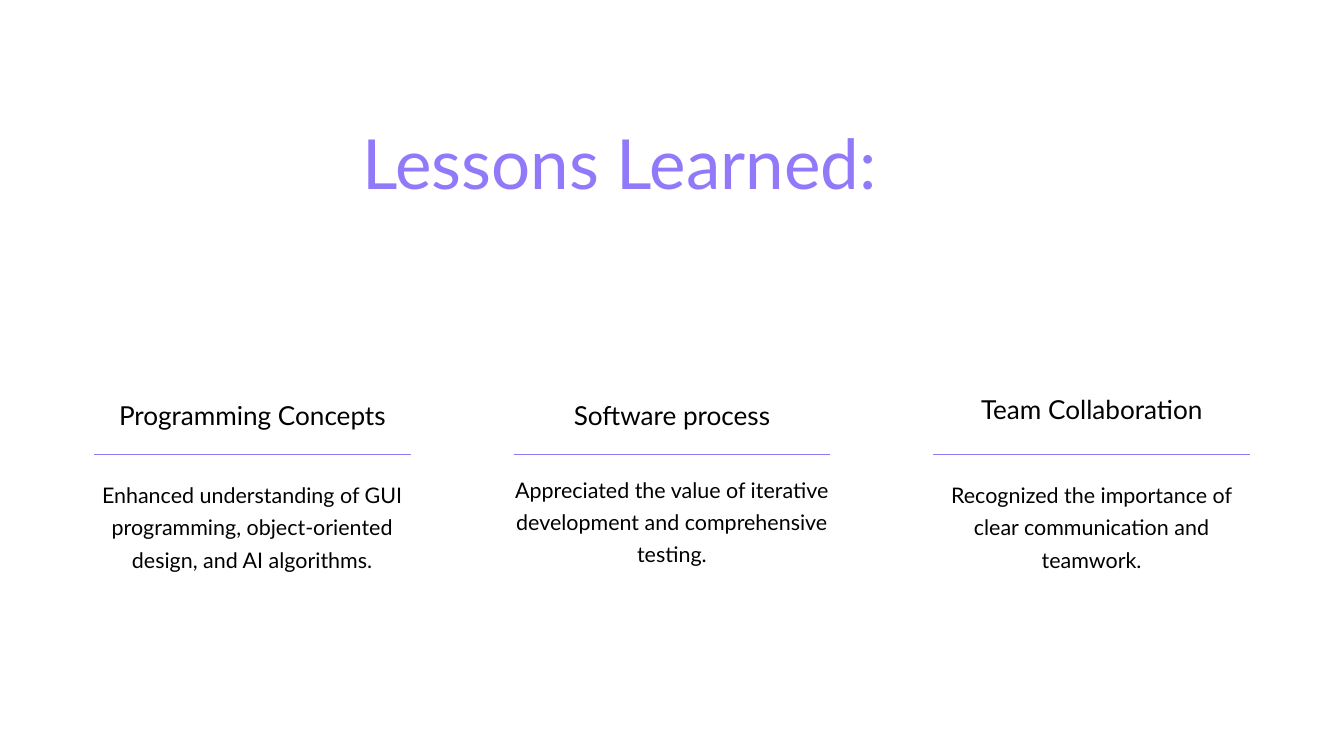
"""Build the Lessons Learned slide with its three columns."""
from lxml.etree import SubElement
from pptx import Presentation
from pptx.dml.color import RGBColor as Color
from pptx.enum.shapes import MSO_CONNECTOR as Link
from pptx.enum.text import MSO_AUTO_SIZE as Fit, PP_ALIGN as Align
from pptx.oxml.ns import qn
from pptx.util import Inches, Pt

HUES = {"violet": "9179FA", "black": "000000"}
LEFT, WIDTH, SPAN = 1.4, 4.71, 12.49

deck = Presentation()
deck.slide_width, deck.slide_height = Inches(20), Inches(11.25)
slide = deck.slides.add_slide(deck.slide_layouts[6])


def write(text, left, top, width, height, size, lead, hue="black"):
    box = slide.shapes.add_textbox(
        Inches(left), Inches(top), Inches(width), Inches(height))
    frame = box.text_frame
    frame.word_wrap = True
    frame.auto_size = Fit.SHAPE_TO_FIT_TEXT
    frame.margin_left = frame.margin_right = 0
    frame.margin_top = frame.margin_bottom = 0
    para = frame.paragraphs[0]
    para.alignment = Align.CENTER
    para.line_spacing = Pt(lead)
    run = para.add_run()
    run.text = text
    run.font.name = "Lato"
    run.font.size = Pt(size)
    run.font.color.rgb = Color.from_string(HUES[hue])


def rule(left, top, width):
    line = slide.shapes.add_connector(
        Link.STRAIGHT, Inches(left), Inches(top), Inches(left + width), Inches(top))
    line.line.color.rgb = Color.from_string(HUES["violet"])
    line.line.width = Pt(1)
    SubElement(line._element.spPr, qn("a:effectLst"))


write("Lessons Learned:", 2.56, 1.79, 13.32, 1.17, size=74, lead=88.8, hue="violet")

lessons = [
    ("Programming Concepts", 5.86, 6.77, 7.08, 1.87,
     "Enhanced understanding of GUI programming, object-oriented design, "
     "and AI algorithms."),
    ("Software process", 5.86, 6.77, 7, 1.39,
     "Appreciated the value of iterative development and comprehensive testing."),
    ("Team Collaboration", 5.77, 6.76, 7.08, 1.39,
     "Recognized the importance of clear communication and teamwork."),
]
step = SPAN / (len(lessons) - 1)
for col, (head, head_top, rule_top, body_top, body_height, body) in enumerate(lessons):
    left = LEFT + col * step
    write(head, left, head_top, WIDTH, 0.51, size=28, lead=39.2)
    write(body, left, body_top, WIDTH, body_height, size=23, lead=34.5)
    rule(left, rule_top, WIDTH)

deck.save("out.pptx")
